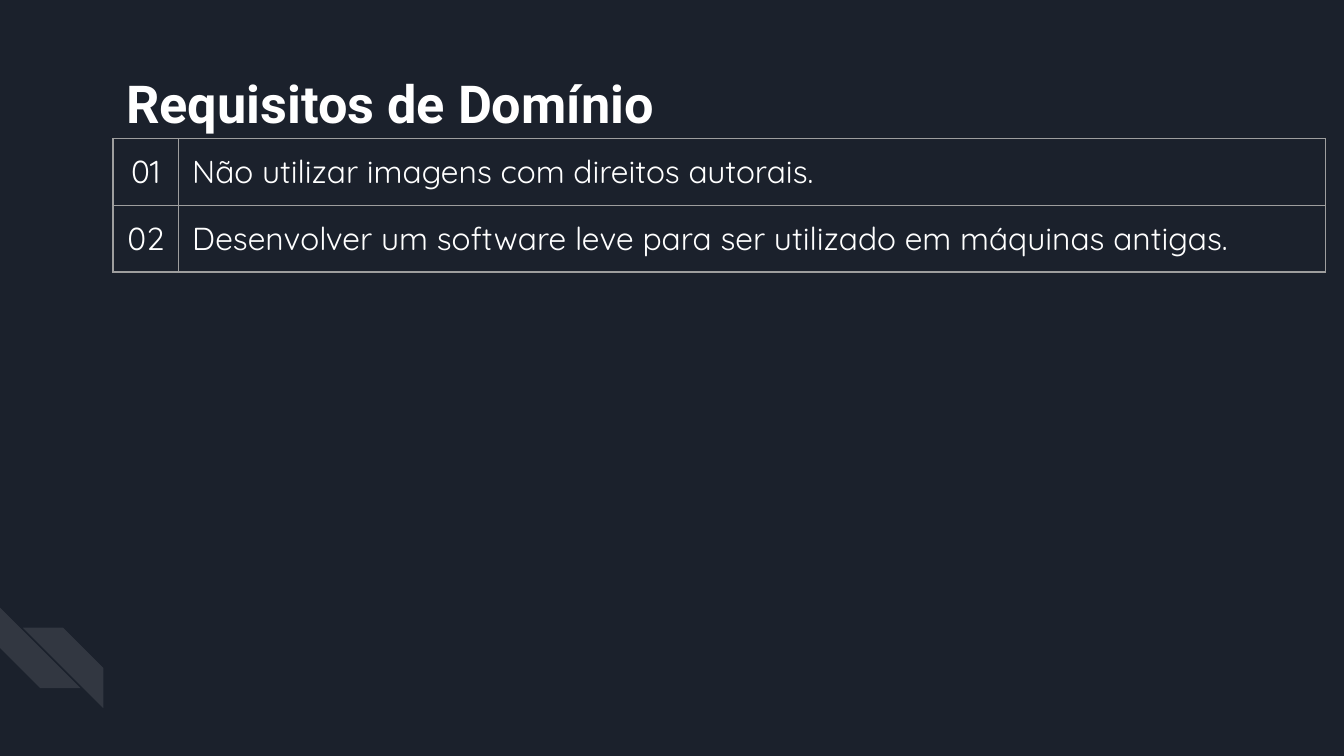
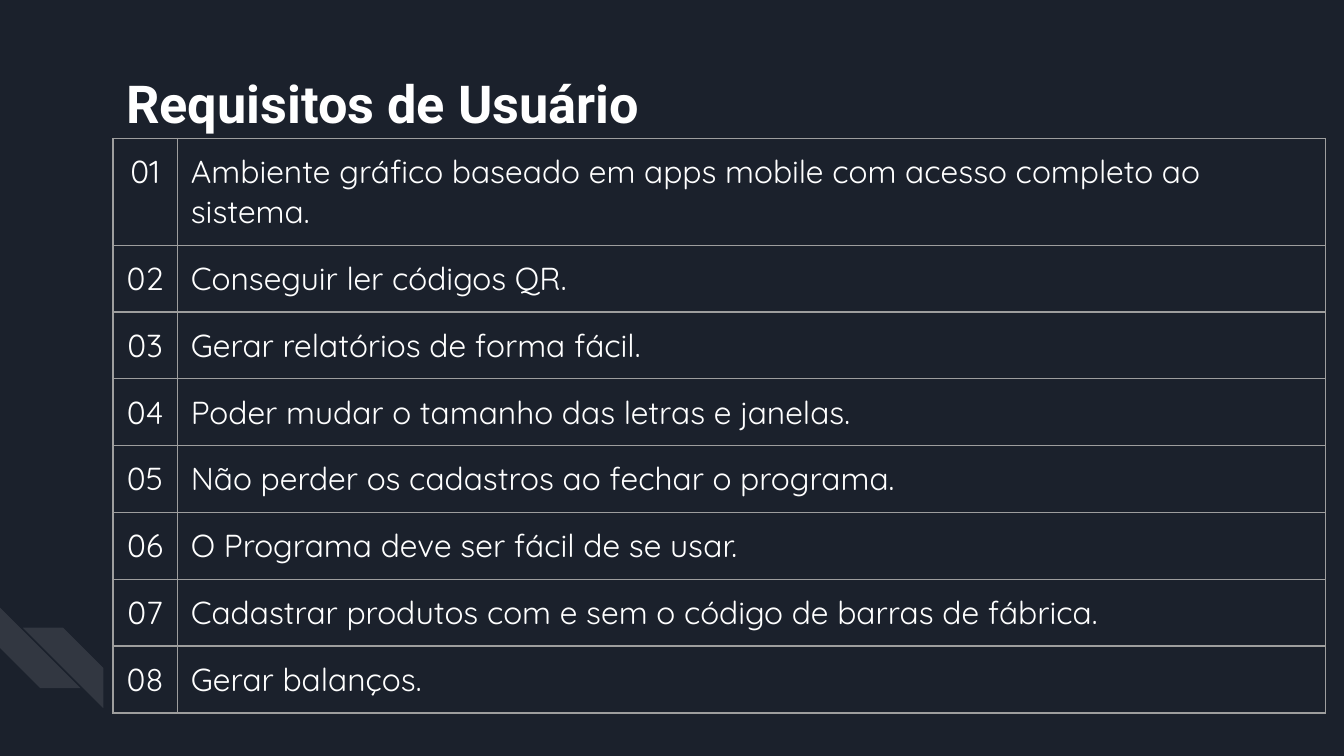
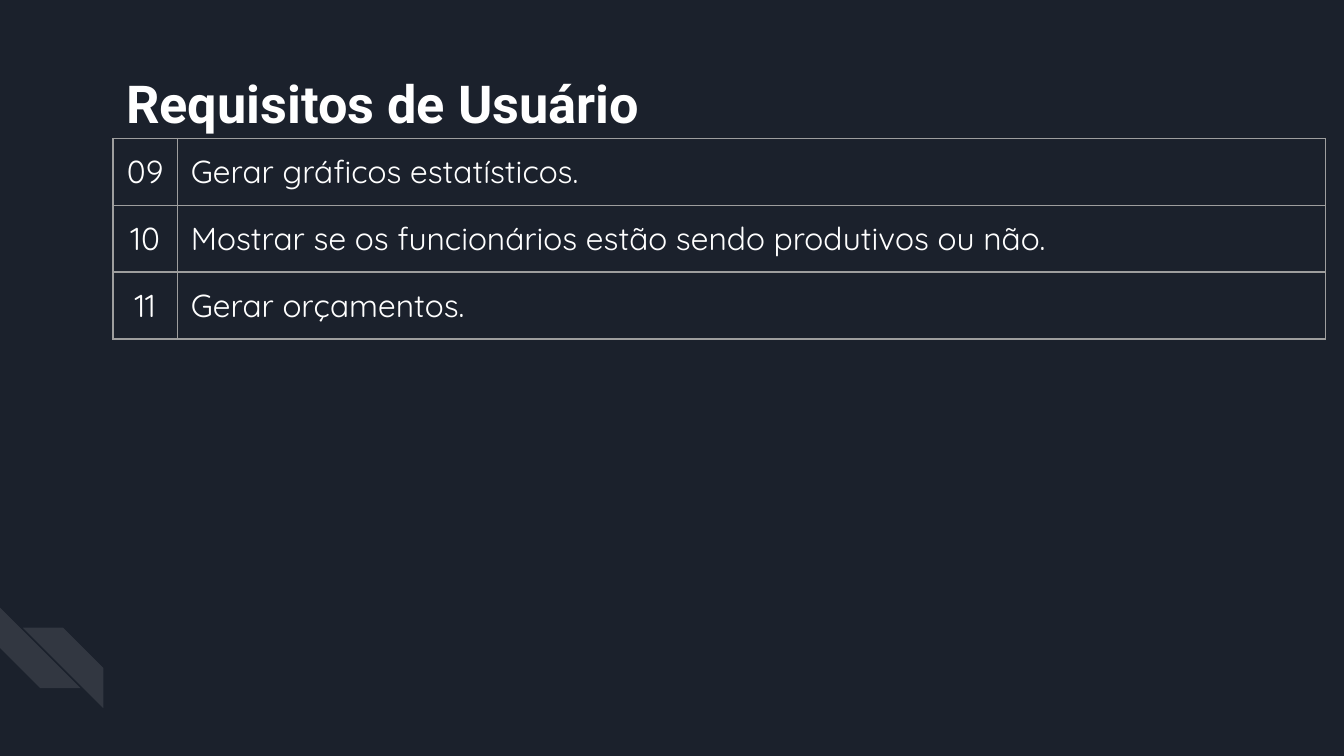
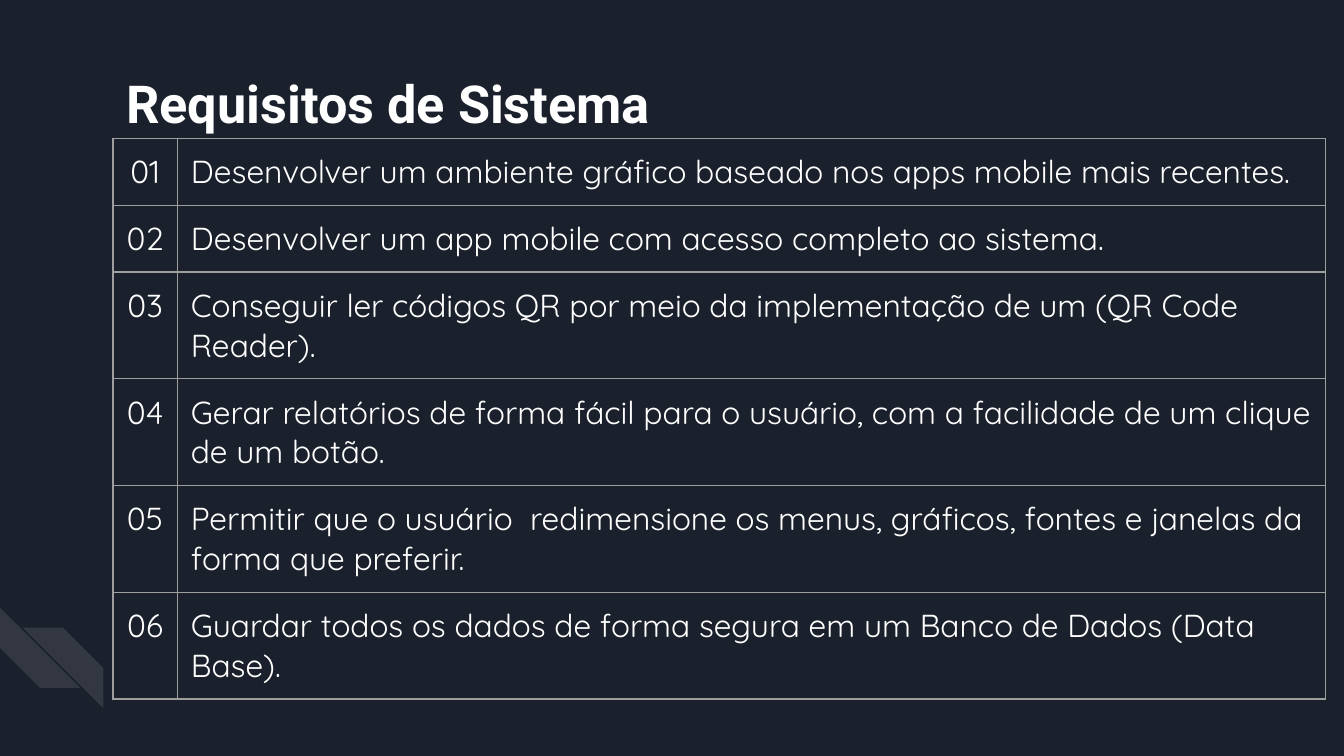
from pptx import Presentation
from pptx.dml.color import RGBColor
from pptx.enum.shapes import MSO_SHAPE as Shape
from pptx.enum.text import MSO_ANCHOR as Anchor, MSO_AUTO_SIZE as Fit, PP_ALIGN as Align
from pptx.oxml.ns import qn
from pptx.util import Inches, Pt
from lxml.etree import SubElement

# title, first number, width of the number column, requirements
PAGES = [
    ("Requisitos de Domínio", 1, 0.49, [
        "Não utilizar imagens com direitos autorais.",
        "Desenvolver um software leve para ser utilizado em máquinas antigas.",
    ]),
    ("Requisitos de Usuário", 1, 0.48, [
        "Ambiente gráfico baseado em apps mobile com acesso completo ao sistema.",
        "Conseguir ler códigos QR.",
        "Gerar relatórios de forma fácil.",
        "Poder mudar o tamanho das letras e janelas.",
        "Não perder os cadastros ao fechar o programa.",
        "O Programa deve ser fácil de se usar.",
        "Cadastrar produtos com e sem o código de barras de fábrica.",
        "Gerar balanços.",
    ]),
    ("Requisitos de Usuário", 9, 0.48, [
        "Gerar gráficos estatísticos.",
        "Mostrar se os funcionários estão sendo produtivos ou não.",
        "Gerar orçamentos.",
    ]),
    ("Requisitos de Sistema", 1, 0.48, [
        "Desenvolver um ambiente gráfico baseado nos apps mobile mais recentes.",
        "Desenvolver um app mobile com acesso completo ao sistema.",
        "Conseguir ler códigos QR por meio da implementação de um (QR Code Reader).",
        "Gerar relatórios de forma fácil para o usuário, com a facilidade de um clique de um botão.",
        "Permitir que o usuário  redimensione os menus, gráficos, fontes e janelas da forma que preferir.",
        "Guardar todos os dados de forma segura em um Banco de Dados (Data Base).",
    ]),
]
# left, top, rotation, mirrored
STRIPES = [(0, 4.52, 270, False), (0.17, 4.67, 0, True)]

NAVY = RGBColor(0x1B, 0x21, 0x2C)
WHITE = RGBColor(0xFF, 0xFF, 0xFF)
GREY = RGBColor(0x9E, 0x9E, 0x9E)
LEFT, TOP, WIDTH, ROW = 0.84, 1.03, 9.02, 0.42
PAD = Inches(0.1)


def write(frame, text, font="Quicksand", size=17, bold=False, align=Align.LEFT):
    para = frame.paragraphs[0]
    para.alignment = align
    run = para.add_run()
    run.text = text
    run.font.name, run.font.size, run.font.bold = font, Pt(size), bold
    run.font.color.rgb = WHITE


def pad(box):
    box.margin_left = box.margin_right = box.margin_top = box.margin_bottom = PAD


def add_stripes(slide, master):
    """Draw the corner stripes and move them to the back of the master."""
    tree = master.shapes.element
    for i, (x, y, turn, flip) in enumerate(STRIPES):
        stripe = slide.shapes.add_shape(
            Shape.DIAGONAL_STRIPE, Inches(x), Inches(y), Inches(0.6), Inches(0.6))
        stripe.shadow.inherit = False
        stripe.adjustments[0] = 0.5
        stripe.rotation = turn
        stripe.line.fill.background()
        stripe.fill.solid()
        stripe.fill.fore_color.rgb = WHITE
        node = stripe.element
        SubElement(node.spPr.find(qn("a:solidFill"))[0], qn("a:alpha"), val="10000")
        if flip:
            node.spPr.find(qn("a:xfrm")).set("flipH", "1")
        node.nvSpPr.cNvPr.set("id", str(100 + i))
        tree.insert(2 + i, node)


def add_title(slide, text):
    title = slide.shapes.title
    title.left, title.top = Inches(LEFT), Inches(0.43)
    title.width, title.height = Inches(7.7), Inches(0.6)
    frame = title.text_frame
    frame.word_wrap, frame.auto_size = True, Fit.NONE
    frame.vertical_anchor = Anchor.TOP
    pad(frame)
    write(frame, text, font="Roboto", size=28, bold=True)


def frame_cell(cell):
    props = cell._tc.get_or_add_tcPr()
    for side in ("lnL", "lnR", "lnT", "lnB"):
        line = SubElement(props, qn("a:" + side), w=str(Pt(0.75)))
        fill = SubElement(line, qn("a:solidFill"))
        SubElement(fill, qn("a:srgbClr"), val=str(GREY))
    cell.fill.background()


def add_list(slide, first, narrow, items):
    table = slide.shapes.add_table(
        len(items), 2, Inches(LEFT), Inches(TOP), Inches(WIDTH),
        Inches(ROW * len(items))).table
    table.first_row = table.horz_banding = False
    table.columns[0].width = Inches(narrow)
    table.columns[1].width = Inches(WIDTH - narrow)
    for r, item in enumerate(items):
        table.rows[r].height = Inches(ROW)
        pairs = (f"{first + r:02}", Align.CENTER), (item, Align.LEFT)
        for c, (text, align) in enumerate(pairs):
            cell = table.cell(r, c)
            pad(cell)
            frame_cell(cell)
            write(cell.text_frame, text, align=align)


def main():
    deck = Presentation()
    deck.slide_width = Inches(10)
    deck.slide_height = deck.slide_width * 9 // 16
    master = deck.slide_master
    master.background.fill.solid()
    master.background.fill.fore_color.rgb = NAVY
    for title, first, narrow, items in PAGES:
        slide = deck.slides.add_slide(deck.slide_layouts[5])
        add_title(slide, title)
        add_list(slide, first, narrow, items)
    add_stripes(deck.slides[0], master)
    deck.save("out.pptx")


if __name__ == "__main__":
    main()
